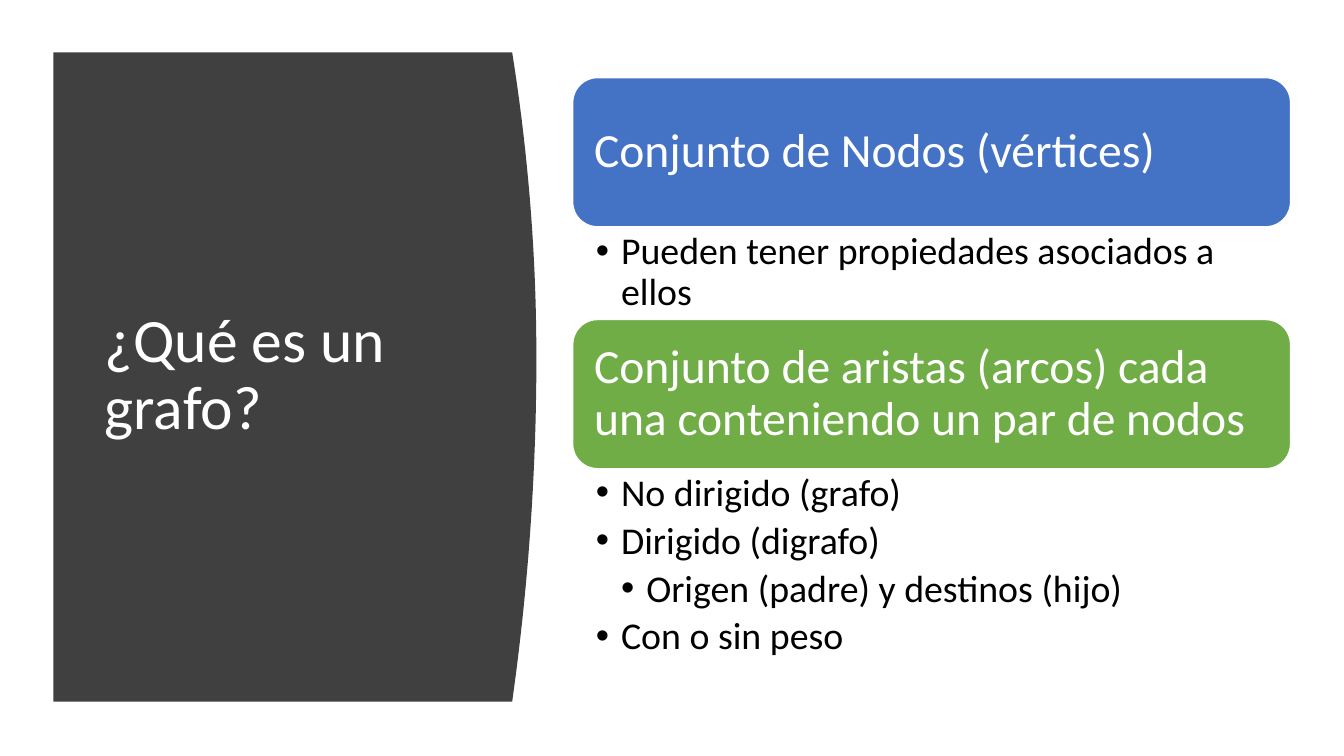
from dataclasses import dataclass

from lxml.etree import SubElement
from pptx import Presentation
from pptx.dml.color import RGBColor
from pptx.enum.shapes import MSO_SHAPE
from pptx.enum.text import MSO_ANCHOR, PP_ALIGN
from pptx.oxml.ns import qn
from pptx.util import Inches, Pt


@dataclass(frozen=True)
class Theme:
    font: str = "Calibri"
    white: RGBColor = RGBColor(0xFF, 0xFF, 0xFF)
    black: RGBColor = RGBColor(0, 0, 0)
    dark: RGBColor = RGBColor(0x40, 0x40, 0x40)
    blue: RGBColor = RGBColor(0x44, 0x72, 0xC4)
    green: RGBColor = RGBColor(0x70, 0xAD, 0x47)
    title: int = 44
    head: int = 34
    item: int = 27


THEME = Theme()
INDENT = 0.25


def set_frame(frame, anchor, left, top, right, bottom):
    frame.word_wrap = True
    frame.vertical_anchor = anchor
    frame.margin_left, frame.margin_top = Inches(left), Inches(top)
    frame.margin_right, frame.margin_bottom = Inches(right), Inches(bottom)


def set_para(para, text, size, color):
    para.text = text
    para.alignment = PP_ALIGN.LEFT
    para.line_spacing = 0.9
    para.font.name = THEME.font
    para.font.size = Pt(size)
    para.font.color.rgb = color


def add_bullet(para, level):
    props = para._p.get_or_add_pPr()
    props.set("marL", str(Inches(INDENT * level)))
    props.set("indent", str(Inches(-INDENT)))
    SubElement(props, qn("a:buFont"), typeface="Arial")
    SubElement(props, qn("a:buChar"), char="•")


def add_panel(slide, text, left, top, width, height):
    # Dark panel whose right side bulges outward
    bulge, steps = 0.24, 40
    edge, peak = left + width - bulge, top + 0.47 * height
    points = []
    for step in range(steps + 1):
        y = top + height * step / steps
        half = peak - top if y < peak else top + height - peak
        x = edge + bulge * (1 - ((y - peak) / half) ** 2)
        points.append((Inches(x), Inches(y)))
    points.append((Inches(left), Inches(top + height)))
    outline = slide.shapes.build_freeform(Inches(left), Inches(top))
    outline.add_line_segments(points, close=True)
    panel = outline.convert_to_shape()
    panel.shadow.inherit = False
    panel.fill.solid()
    panel.fill.fore_color.rgb = THEME.dark
    panel.line.fill.background()

    # Title
    box = slide.shapes.add_textbox(Inches(left + 0.41), Inches(top + 0.59),
                                   Inches(3.74), Inches(height - 1.2))
    set_frame(box.text_frame, MSO_ANCHOR.MIDDLE, 0.1, 0.05, 0.1, 0.05)
    set_para(box.text_frame.paragraphs[0], text, THEME.title, THEME.white)


def add_topic(slide, head, color, items, left, top, width, height):
    # Coloured heading
    bar_height = 1.48
    bar = slide.shapes.add_shape(MSO_SHAPE.ROUNDED_RECTANGLE, Inches(left),
                                 Inches(top), Inches(width), Inches(bar_height))
    bar.shadow.inherit = False
    bar.fill.solid()
    bar.fill.fore_color.rgb = color
    bar.line.color.rgb = THEME.white
    bar.line.width = Pt(1)
    set_frame(bar.text_frame, MSO_ANCHOR.MIDDLE, 0.14, 0.14, 0.14, 0.14)
    set_para(bar.text_frame.paragraphs[0], head, THEME.head, THEME.white)

    # Bulleted details
    box = slide.shapes.add_textbox(Inches(left), Inches(top + bar_height),
                                   Inches(width), Inches(height - bar_height))
    frame = box.text_frame
    set_frame(frame, MSO_ANCHOR.TOP, 0.23, 0.05, 0.26, 0.05)
    for index, (level, text) in enumerate(items):
        para = frame.add_paragraph() if index else frame.paragraphs[0]
        add_bullet(para, level)
        set_para(para, text, THEME.item, THEME.black)
        para.space_after = Pt(5)


def main():
    deck = Presentation()
    deck.slide_width, deck.slide_height = Inches(13.33), Inches(7.5)
    slide = deck.slides.add_slide(deck.slide_layouts[6])

    add_panel(slide, "¿Qué es un grafo?", 0.53, 0.52, 4.79, 6.44)

    topics = [
        ("Conjunto de Nodos (vértices)", THEME.blue, 2.4,
         [(1, "Pueden tener propiedades asociados a ellos")]),
        ("Conjunto de aristas (arcos) cada una conteniendo un par de nodos",
         THEME.green, 3.52,
         [(1, "No dirigido (grafo)"),
          (1, "Dirigido (digrafo)"),
          (2, "Origen (padre) y destinos (hijo)"),
          (1, "Con o sin peso")]),
    ]
    top = 0.77
    for head, color, height, items in topics:
        add_topic(slide, head, color, items, 5.68, top, 7.12, height)
        top += height

    deck.save("out.pptx")


if __name__ == "__main__":
    main()
